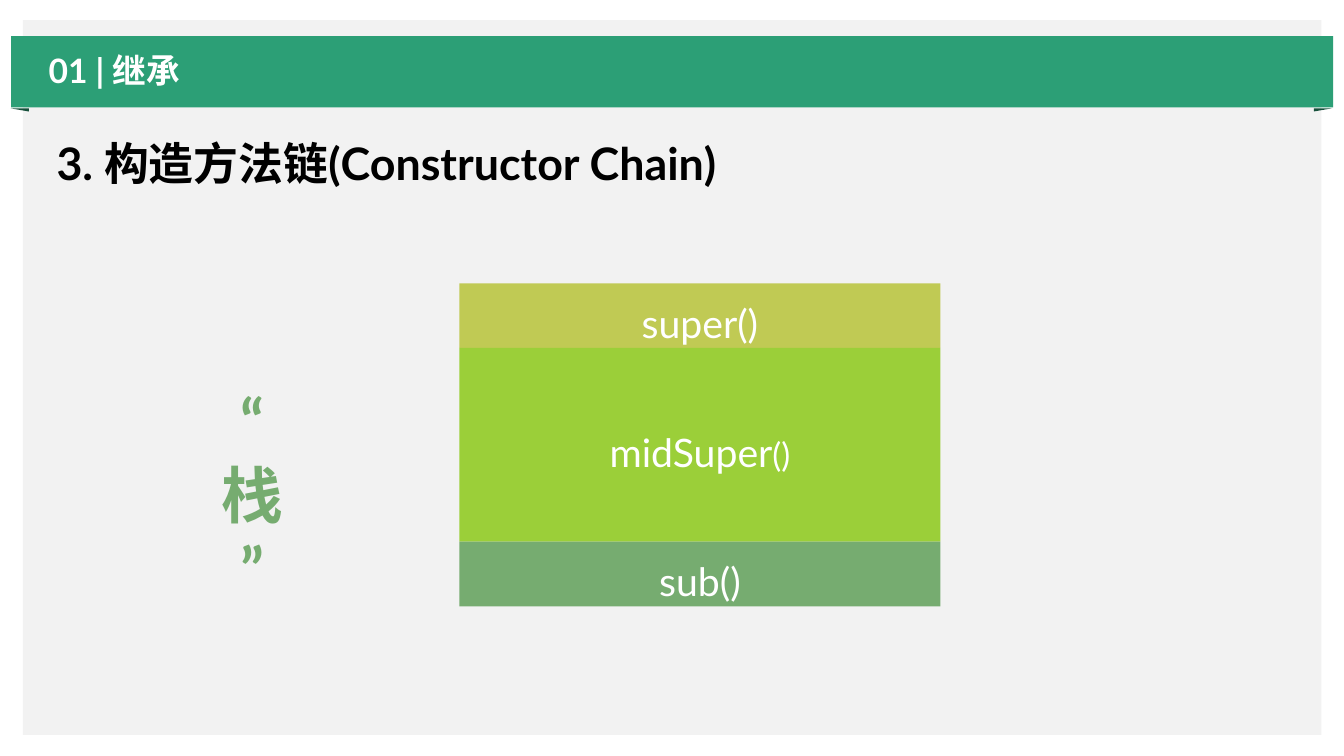
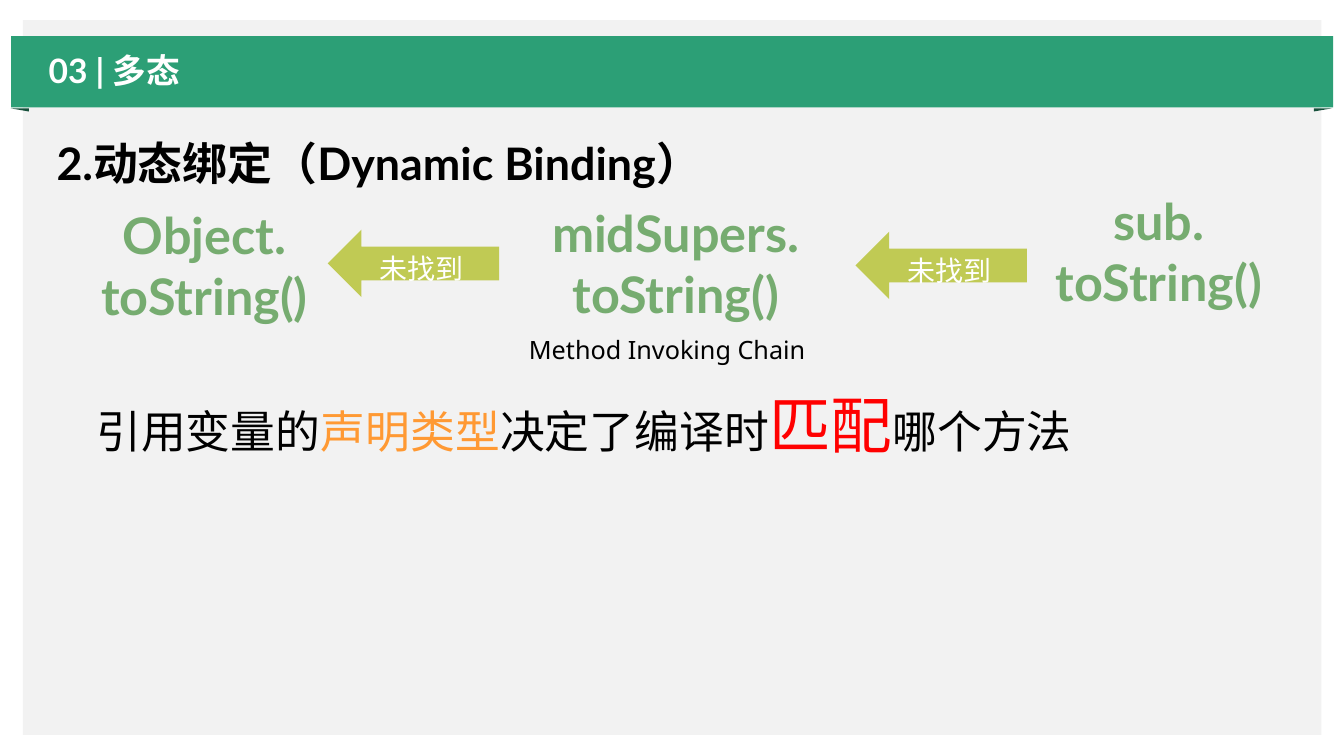
from lxml import etree
from pptx import Presentation
from pptx.dml.color import RGBColor
from pptx.enum import shapes, text
from pptx.oxml import ns
from pptx.util import Cm, Pt

KIND = shapes.MSO_SHAPE
MID, TOP = text.MSO_ANCHOR.MIDDLE, text.MSO_ANCHOR.TOP
LEFT, CENTER = text.PP_ALIGN.LEFT, text.PP_ALIGN.CENTER
GREEN, LIME, OLIVE = "76AC70", "9BCF39", "C0CA54"
WHITE, BLACK = "FFFFFF", "000000"
BREAK = "\v"


def paint(item, color):
    """Set a solid colour on a fill or a font."""
    if hasattr(item, "solid"):
        item.solid()
        item.fore_color.rgb = RGBColor.from_string(color)
    else:
        item.color.rgb = RGBColor.from_string(color)


class Deck:
    font = "Lato"

    def __init__(self):
        self.prs = Presentation()
        self.prs.slide_width, self.prs.slide_height = Cm(33.87), Cm(19.05)
        self.base = self.prs.slide_layouts[1]
        for hold in list(self.base.placeholders)[2:]:
            hold.element.getparent().remove(hold.element)
        self.slide = None

    def page(self, label, head):
        """Start a slide with its band label and heading."""
        first = self.slide is None
        self.slide = self.prs.slides.add_slide(self.base)
        if first:
            self.frame()
        title, body = self.slide.placeholders
        self.place(title, 1.17, 3.3, 19.46, 1.63)
        self.fill(title, [[(head, 32, BLACK)]], LEFT, bold=True)
        self.place(body, 0.97, 1.17, 31.8, 1.3)
        self.fill(body, [[(label, 24, WHITE)]], LEFT, MID, True, 0.9)
        para = body.text_frame.paragraphs[0]
        para.space_before = Pt(10)
        props = para._p.get_or_add_pPr()
        props.set("marL", "0")
        props.set("indent", "0")
        etree.SubElement(props, ns.qn("a:buNone"))

    def frame(self):
        """Draw panel, band and folds, and keep them on the layout."""
        parts = [self.shape(KIND.RECTANGLE, 0.58, 0.51, 32.72, 18.01, "F2F2F2"),
                 self.shape(KIND.RECTANGLE, 0.28, 0.91, 33.32, 1.8, "2C9F76")]
        for left, turn, tip in ((0.46, 270, 1), (33.3, 90, 0)):
            fold = self.shape(KIND.ISOSCELES_TRIANGLE, left, 2.54, 0.08, 0.46, "16503B")
            fold.rotation = turn
            fold.adjustments[0] = tip
            parts.append(fold)
        tree = self.base.shapes.element
        for spot, part in enumerate(parts, 2):
            tree.insert(spot, part.element)

    def place(self, item, left, top, width, height):
        item.left, item.top = Cm(left), Cm(top)
        item.width, item.height = Cm(width), Cm(height)

    def fill(self, item, paras, align=CENTER, anchor=TOP, bold=False,
             space=None, font=None):
        """Fill an item with paragraphs of (text, size, colour) runs."""
        frame = item.text_frame
        frame.word_wrap = True
        frame.auto_size = text.MSO_AUTO_SIZE.NONE
        frame.vertical_anchor = anchor
        for i, runs in enumerate(paras):
            para = frame.add_paragraph() if i else frame.paragraphs[0]
            para.alignment = align
            if space:
                para.line_spacing = space
            for words, size, color in runs:
                if words == BREAK:
                    para.add_line_break()
                    continue
                run = para.add_run()
                run.text = words
                run.font.size, run.font.bold = Pt(size), bold
                run.font.name = font or self.font
                paint(run.font, color)
                east = etree.SubElement(run._r.get_or_add_rPr(), ns.qn("a:ea"))
                east.set("typeface", font or self.font)

    def shape(self, kind, left, top, width, height, color):
        """Add a filled preset shape without outline."""
        item = self.slide.shapes.add_shape(
            kind, Cm(left), Cm(top), Cm(width), Cm(height))
        item.shadow.inherit = False
        paint(item.fill, color)
        item.line.fill.background()
        return item

    def block(self, kind, box, color, runs, font=None):
        """Add a filled shape with centred white text."""
        item = self.shape(kind, *box, color)
        runs = [(words, size, WHITE) for words, size in runs]
        self.fill(item, [runs], anchor=MID, space=1.3, font=font)

    def note(self, box, paras, **style):
        """Add a text box."""
        item = self.slide.shapes.add_textbox(*map(Cm, box))
        self.fill(item, paras, **style)


deck = Deck()

# Slide 1: constructor stack
deck.page("01 | 继承", "3. 构造方法链(Constructor Chain)")
deck.note((4.6, 9.53, 3.5, 2.13),
          [[(part, 44, GREEN) for part in ("“", BREAK, "栈", BREAK, "”")]],
          bold=True)
top = 7.14
for high, color, runs in (
        (1.63, OLIVE, [("super()", 28)]),
        (4.88, LIME, [("midSuper", 28), ("()", 24)]),
        (1.63, GREEN, [("sub()", 28)])):
    deck.block(KIND.RECTANGLE, (11.58, top, 12.12, high), color, runs)
    top += high

# Slide 2: method lookup
deck.page("03 | 多态", "2.动态绑定（Dynamic Binding）")
for name, left, top, width in (
        ("Object.", 1.83, 5.03, 6.65),
        ("midSupers.", 13.18, 4.98, 7.7),
        ("sub.", 25.88, 4.67, 6.65)):
    deck.note((left, top, width, 3.33),
              [[(line, 36, GREEN)] for line in (name, "toString()")], bold=True)
deck.note((13.08, 8.31, 9.75, 1.02), [[("Method Invoking Chain", 18, BLACK)]],
          align=LEFT, font="Noto Sans")
for left, top in ((8.26, 5.79), (21.56, 5.84)):
    deck.block(KIND.LEFT_ARROW, (left, top, 4.32, 1.7), OLIVE,
               [("未找到", 20)], "Noto Sans CJK JP")
deck.note((2.18, 9.63, 29.36, 2.13), [[
    ("引用变量的", 32, BLACK), ("声明类型", 32, "FF9933"),
    ("决定了编译时", 32, BLACK), ("匹配", 44, "FF0000"),
    ("哪个方法", 32, BLACK)]], align=LEFT)

deck.prs.save("out.pptx")
